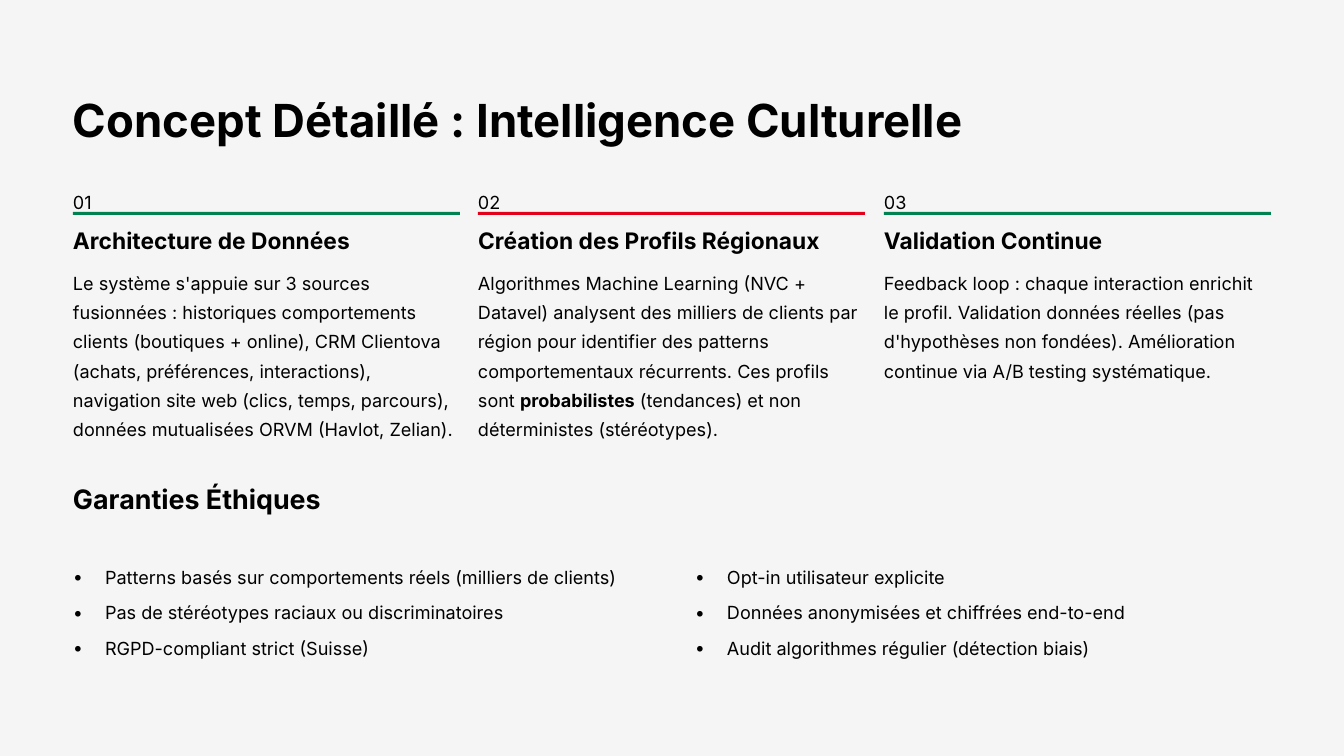
import pptx
import pptx.dml.color
import pptx.enum.shapes
import pptx.oxml
import pptx.oxml.ns
import pptx.util

BLACK = pptx.dml.color.RGBColor(0x00, 0x00, 0x00)
PAPER = pptx.dml.color.RGBColor(0xF5, 0xF5, 0xF5)
GREEN = pptx.dml.color.RGBColor(0x00, 0x81, 0x50)
RED = pptx.dml.color.RGBColor(0xE3, 0x00, 0x1D)

LEFT = 73
COLUMN_WIDTH = 387
LIST_WIDTH = 577

COLUMNS = [
    ("01", GREEN, "Architecture de Données", 285, 175,
     "Le système s'appuie sur 3 sources fusionnées : historiques comportements "
     "clients (boutiques + online), CRM Clientova (achats, préférences, "
     "interactions), navigation site web (clics, temps, parcours), données "
     "mutualisées ORVM (Havlot, Zelian)."),
    ("02", RED, "Création des Profils Régionaux", 350, 175,
     "Algorithmes Machine Learning (NVC + Datavel) analysent des milliers de "
     "clients par région pour identifier des patterns comportementaux récurrents. "
     "Ces profils sont **probabilistes** (tendances) et non déterministes "
     "(stéréotypes)."),
    ("03", GREEN, "Validation Continue", 236, 117,
     "Feedback loop : chaque interaction enrichit le profil. Validation données "
     "réelles (pas d'hypothèses non fondées). Amélioration continue via A/B "
     "testing systématique."),
]

GUARANTEES = [
    (LEFT, ["Patterns basés sur comportements réels (milliers de clients)",
            "Pas de stéréotypes raciaux ou discriminatoires",
            "RGPD-compliant strict (Suisse)"]),
    (695, ["Opt-in utilisateur explicite",
           "Données anonymisées et chiffrées end-to-end",
           "Audit algorithmes régulier (détection biais)"]),
]


def px(length):
    return pptx.util.Emu(round(length * 914400 / 84))


class Composer:
    """Holds the text style and the current slide, and draws each kind of element."""

    font = "Inter"
    body_size = 15.5
    body_leading = 25

    def __init__(self, page):
        self.page = page
        page.background.fill.solid()
        page.background.fill.fore_color.rgb = PAPER

    def frame(self, left, top, width, height, wrap):
        box = self.page.shapes.add_textbox(px(left), px(top), px(width), px(height))
        frame = box.text_frame
        frame.margin_left = frame.margin_right = 0
        frame.margin_top = frame.margin_bottom = 0
        frame.word_wrap = wrap
        return frame

    def style(self, para, size, leading, bold=False):
        para.line_spacing = pptx.util.Pt(leading)
        for span in para.runs:
            span.font.name = self.font
            span.font.size = pptx.util.Pt(size)
            span.font.bold = bold
            span.font.color.rgb = BLACK

    def line(self, text, left, top, width, height, size=body_size,
             leading=body_leading, bold=False):
        frame = self.frame(left, top, width, height, False)
        frame.text = text
        self.style(frame.paragraphs[0], size, leading, bold)

    def body(self, text, left, top, width, height):
        para = self.frame(left, top, width, height, True).paragraphs[0]
        for piece in text.split("**"):
            para.add_run().text = piece
        self.style(para, self.body_size, self.body_leading)
        for span in para.runs[1::2]:
            span.font.bold = True

    def bar(self, color, left, top, width, height):
        bar = self.page.shapes.add_shape(
            pptx.enum.shapes.MSO_SHAPE.RECTANGLE,
            px(left), px(top), px(width), px(height))
        bar.shadow.inherit = False
        bar.fill.solid()
        bar.fill.fore_color.rgb = color
        bar.line.fill.background()

    def bullets(self, items, left, top, width, height):
        frame = self.frame(left, top, width, height, True)
        frame.text = "\n".join(items)
        namespace = pptx.oxml.ns.nsdecls("a")
        for para in frame.paragraphs:
            self.style(para, self.body_size, self.body_leading)
            para.space_after = pptx.util.Pt(5.25)
            properties = para._p.get_or_add_pPr()
            properties.set("marL", str(px(32)))
            properties.set("indent", str(px(-32)))
            for tag in (f'buFont {namespace} typeface="{self.font}"',
                        f'buChar {namespace} char="•"'):
                properties.append(pptx.oxml.parse_xml(f"<a:{tag}/>"))


def main():
    deck = pptx.Presentation()
    deck.slide_width, deck.slide_height = px(1344), px(756)
    composer = Composer(deck.slides.add_slide(deck.slide_layouts[6]))

    composer.line("Concept Détaillé : Intelligence Culturelle",
                  LEFT, 90, 900, 57, size=39, leading=48.5, bold=True)

    for index, column in enumerate(COLUMNS):
        number, color, heading, heading_width, body_height, text = column
        left = LEFT + index * 811 // 2
        composer.line(number, left, 184, 26, 23)
        composer.bar(color, left, 212, COLUMN_WIDTH, 3)
        composer.line(heading, left, 226, heading_width, 29,
                      size=19.5, leading=24, bold=True)
        composer.body(text, left, 265, COLUMN_WIDTH, body_height)

    composer.line("Garanties Éthiques", LEFT, 481, 274, 34,
                  size=23, leading=29, bold=True)
    for left, items in GUARANTEES:
        composer.bullets(items, left, 559, LIST_WIDTH, 100)

    deck.save("out.pptx")


if __name__ == "__main__":
    main()
